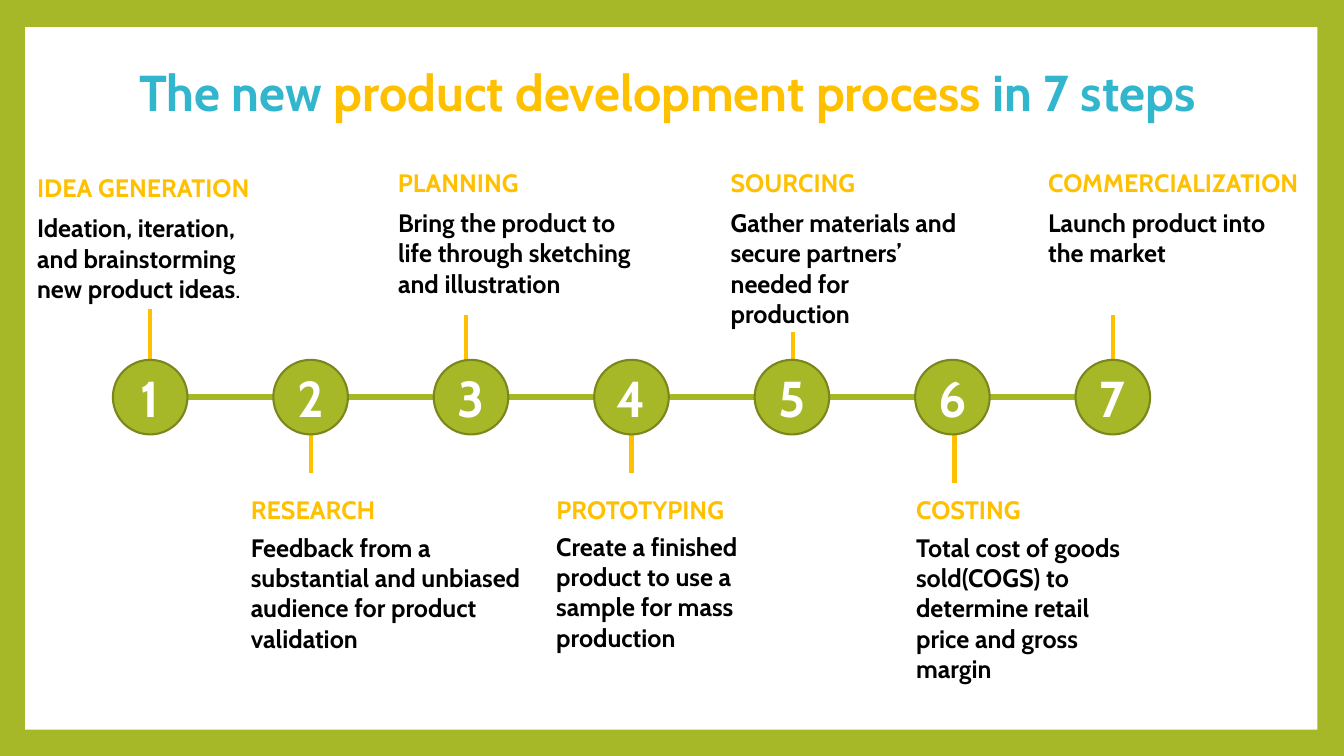
from collections import namedtuple
from dataclasses import dataclass

from lxml import etree
from pptx import Presentation
from pptx.dml.color import RGBColor
from pptx.enum.shapes import MSO_CONNECTOR, MSO_SHAPE
from pptx.enum.text import MSO_ANCHOR, MSO_AUTO_SIZE, PP_ALIGN
from pptx.oxml.ns import qn
from pptx.util import Inches, Pt

STRAIGHT = MSO_CONNECTOR.STRAIGHT
RECTANGLE, OVAL = MSO_SHAPE.RECTANGLE, MSO_SHAPE.OVAL
TOP, MIDDLE = MSO_ANCHOR.TOP, MSO_ANCHOR.MIDDLE
LEFT, CENTER = PP_ALIGN.LEFT, PP_ALIGN.CENTER
NO_FIT = MSO_AUTO_SIZE.NONE

# One grid unit is a tenth of an inch, across and down.
COLUMNS, ROWS = 133.33, 75

Box = namedtuple("Box", "left top width height")
Step = namedtuple("Step", "heading body box heading_width stem_top stem_shift")


@dataclass(frozen=True)
class Theme:
    font: str = "Cabin"
    green: str = "A6B727"
    dark_green: str = "7B871D"
    yellow: str = "FFC000"
    blue: str = "31B6CE"
    white: str = "FFFFFF"
    black: str = "000000"
    large: int = 36
    normal: int = 18
    stem: float = 3
    rail: float = 4.5
    outline: float = 1.5


THEME = Theme()
TITLE = [("The new ", THEME.blue),
         ("product development process ", THEME.yellow),
         ("in 7 steps", THEME.blue)]
TITLE_BOX = Box(12.8, 5.6, 107.2, 7.1)
PANEL_BOX = Box(2.5, 2.7, 128.2, 69.7)
TIMELINE_BOX = Box(11.2, 35.7, 102.9, 7.4)
STEM_LENGTH = 7.5
HEADING_HEIGHT = {"above": 4, "below": 3.7}

STEPS = [
    Step("IDEA GENERATION",
         [("Ideation, iteration, and brainstorming new product ideas", True), (".", False)],
         Box(2.7, 16.6, 24.4, 14.1), 23.3, 30.7, 0),
    Step("RESEARCH",
         [("Feedback from a substantial and unbiased audience for product validation", True)],
         Box(23.9, 48.6, 32, 18.4), 18.9, 39.4, 0),
    Step("PLANNING",
         [("Bring the product to life through sketching and illustration", True)],
         Box(38.5, 16.1, 25.8, 17.1), 15.3, 31.3, -0.5),
    Step("PROTOTYPING",
         [("Create a finished product to use a sample for mass production", True)],
         Box(54.2, 48.5, 24.4, 15.6), 18.9, 39.4, 0),
    Step("SOURCING",
         [("Gather materials and secure partners’ needed for production", True)],
         Box(71.5, 16.1, 24.4, 17.1), 14.4, 32.9, 0.1),
    Step("COSTING",
         [("Total cost of goods sold(COGS) to determine retail price and gross margin", True)],
         Box(89.9, 48.6, 24.4, 18.4), 12.5, 40.4, 0.2),
    Step("COMMERCIALIZATION",
         [("Launch product into the market", True)],
         Box(103, 16.1, 24.4, 11.1), 27.3, 31.3, 0),
]


def grid(*lengths):
    return [Inches(length / 10) for length in lengths]


def color(value):
    return RGBColor.from_string(value)


def apply_format(target, values):
    for name, value in values.items():
        setattr(target, name, value)


def write(shape, runs, size, alignment=LEFT, anchor=TOP):
    """Fill a shape with one paragraph of (text, colour, bold) runs."""
    frame = shape.text_frame
    apply_format(frame, {"word_wrap": True, "auto_size": NO_FIT, "vertical_anchor": anchor})
    paragraph = frame.paragraphs[0]
    paragraph.alignment = alignment
    for text, run_color, bold in runs:
        run = paragraph.add_run()
        run.text = text
        apply_format(run.font, {"name": THEME.font, "size": Pt(size), "bold": bold})
        run.font.color.rgb = color(run_color)


def add_filled_shape(slide, kind, box, fill):
    shape = slide.shapes.add_shape(kind, *grid(*box))
    shape.shadow.inherit = False
    shape.fill.solid()
    shape.fill.fore_color.rgb = color(fill)
    return shape


def add_line(slide, ends, line_color, width):
    connector = slide.shapes.add_connector(STRAIGHT, *grid(*ends))
    connector.line.color.rgb = color(line_color)
    connector.line.width = Pt(width)
    etree.SubElement(connector._element.spPr, qn("a:effectLst"))


def draw_frame(slide, box):
    slide.background.fill.solid()
    slide.background.fill.fore_color.rgb = color(THEME.green)
    panel = add_filled_shape(slide, RECTANGLE, box, THEME.white)
    panel.line.fill.background()


def draw_title(slide, box):
    title = slide.shapes.title
    apply_format(title, dict(zip(box._fields, grid(*box))))
    write(title, [(text, tint, True) for text, tint in TITLE], THEME.large)
    slide.shapes._spTree.append(title._element)  # in front of the panel


def draw_timeline(slide, box, steps):
    """Spread one numbered circle per step evenly over the box, with stems behind."""
    size = box.height
    pitch = (box.width - size) / (len(steps) - 1)
    centers = [box.left + size / 2 + index * pitch for index in range(len(steps))]
    for center, step in zip(centers, steps):
        x = center + step.stem_shift
        add_line(slide, (x, step.stem_top, x, step.stem_top + STEM_LENGTH),
                 THEME.yellow, THEME.stem)
    middle = box.top + size / 2
    add_line(slide, (centers[0], middle, centers[-1], middle), THEME.green, THEME.rail)
    for number, center in enumerate(centers, 1):
        circle = add_filled_shape(slide, OVAL, Box(center - size / 2, box.top, size, size),
                                  THEME.green)
        circle.line.color.rgb = color(THEME.dark_green)
        circle.line.width = Pt(THEME.outline)
        write(circle, [(str(number), THEME.white, True)], THEME.large, CENTER, MIDDLE)


def draw_step_text(slide, box, step):
    side = "above" if box.top < TIMELINE_BOX.top else "below"
    height = HEADING_HEIGHT[side]
    heading_box = box._replace(width=step.heading_width, height=height)
    body_box = box._replace(top=box.top + height, height=box.height - height)
    heading_runs = [(step.heading, THEME.yellow, True)]
    body_runs = [(text, THEME.black, bold) for text, bold in step.body]
    for part, runs in ((heading_box, heading_runs), (body_box, body_runs)):
        write(slide.shapes.add_textbox(*grid(*part)), runs, THEME.normal)


def main():
    presentation = Presentation()
    presentation.slide_width, presentation.slide_height = grid(COLUMNS, ROWS)
    title_only = presentation.slide_layouts.get_by_name("Title Only")
    slide = presentation.slides.add_slide(title_only)
    draw_frame(slide, PANEL_BOX)
    draw_timeline(slide, TIMELINE_BOX, STEPS)
    for step in STEPS:
        draw_step_text(slide, step.box, step)
    draw_title(slide, TITLE_BOX)
    presentation.save("out.pptx")


if __name__ == "__main__":
    main()
